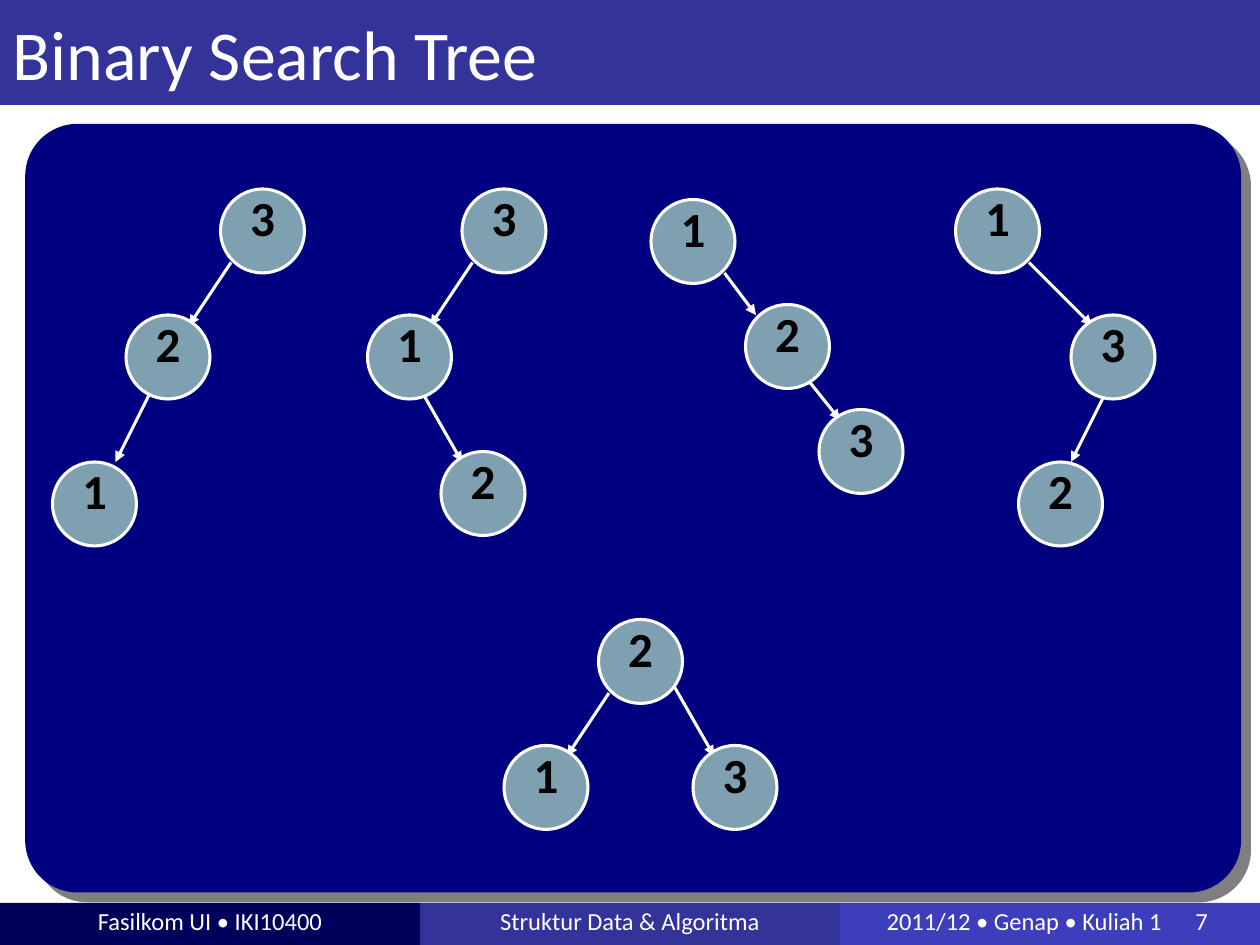
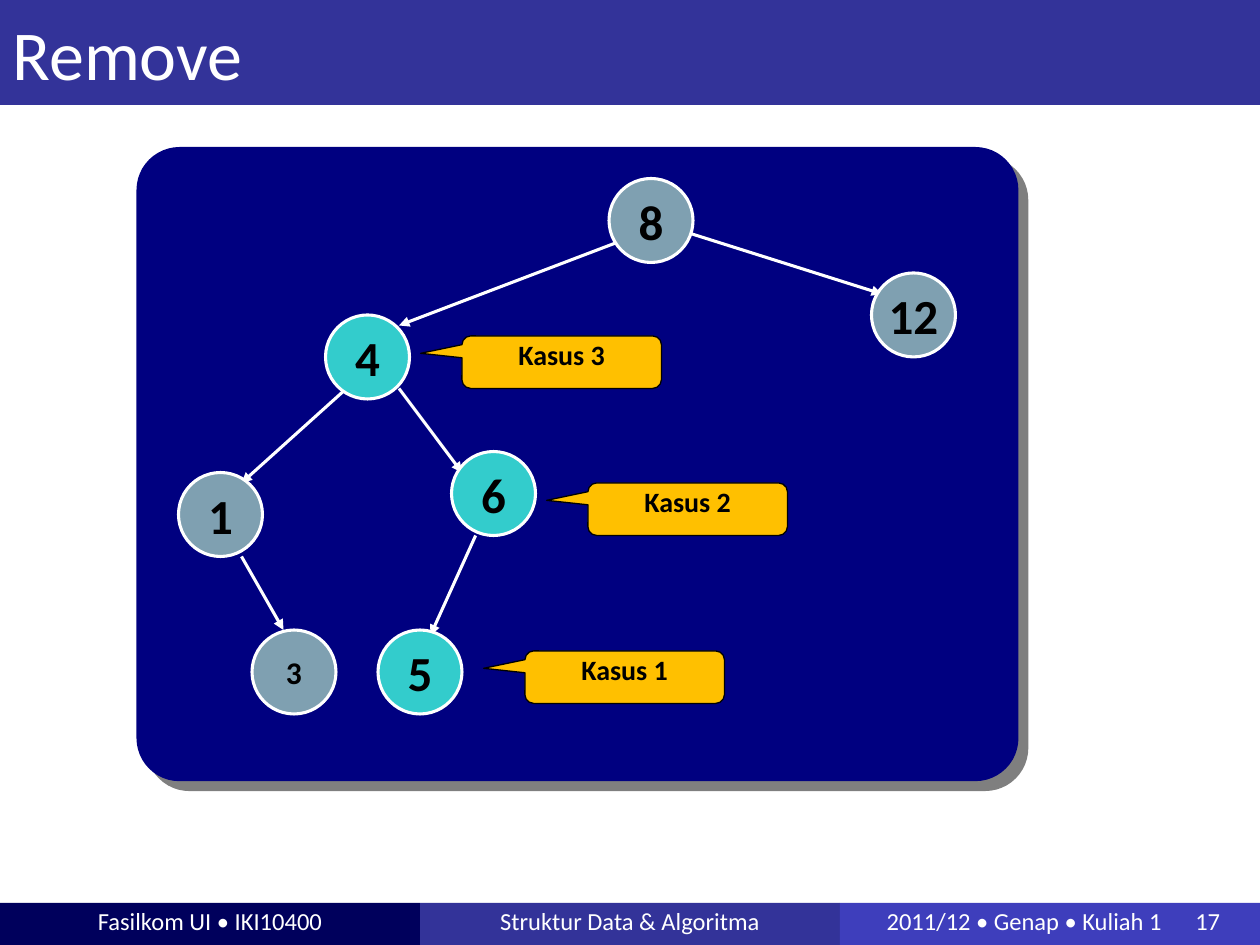
from pptx import Presentation
from pptx.dml.color import RGBColor
from pptx.enum.shapes import MSO_CONNECTOR, MSO_SHAPE
from pptx.enum.text import MSO_ANCHOR, MSO_AUTO_SIZE, PP_ALIGN
from pptx.oxml.ns import qn
from pptx.util import Inches, Pt
from lxml import etree

RECTANGLE, ROUNDED = MSO_SHAPE.RECTANGLE, MSO_SHAPE.ROUNDED_RECTANGLE
OVAL, CALLOUT = MSO_SHAPE.OVAL, MSO_SHAPE.ROUNDED_RECTANGULAR_CALLOUT
STRAIGHT = MSO_CONNECTOR.STRAIGHT
LEFT, CENTER, MIDDLE = PP_ALIGN.LEFT, PP_ALIGN.CENTER, MSO_ANCHOR.MIDDLE

FONT = "Calibri"
COLORS = {
    "white": "FFFFFF", "black": "000000", "title": "333399",
    "footer left": "00005C", "footer middle": "333399", "footer right": "3E3EBC",
    "panel": "000080", "node": "7FA0B1", "marked": "33CCCC", "callout": "FFC000",
}
# The slide is a grid of 120 columns and 90 rows, 12 to the inch.
COLUMNS, ROWS = 120, 90
TITLE_ROWS, FOOTER_ROWS, NODE_SIZE = 10, 4, 8
LINE_WIDTH, TIGHT = 1.76, 0.33

# Trees: nodes are (label, column, row), links are (from, to) grid points.
SEARCH_TREES = [
    ([("3", 21, 18), ("2", 12, 30), ("1", 5, 44)],
     [((22, 25), (18, 31)), ((15, 36), (11, 44))]),
    ([("3", 44, 18), ("1", 35, 30), ("2", 42, 43)],
     [((45, 25), (41, 31)), ((40, 37), (44, 44))]),
    ([("2", 57, 59), ("1", 48, 71), ("3", 66, 71)],
     [((58, 66), (54, 72)), ((64, 65), (68, 72))]),
    ([("1", 91, 18), ("3", 102, 30), ("2", 97, 44)],
     [((98, 25), (104, 31)), ((106, 36), (102, 44))]),
    ([("1", 62, 19), ("2", 71, 29), ("3", 78, 39)],
     [((69, 26), (72, 30)), ((76, 35), (80, 40))]),
]
REMOVE_NODES = [("8", 58, 17), ("12", 83, 26), ("1", 17, 45)]
SMALL_NODES = [("3", 24, 60)]
MARKED_NODES = [("5", 36, 60), ("6", 43, 43), ("4", 31, 30)]
REMOVE_LINKS = [
    ((59, 23), (38, 31)), ((45.3, 51), (41, 60.5)), ((65, 22), (84, 28)),
    ((33, 37), (23, 46)), ((38, 37), (44, 45)), ((23, 53), (27, 60)),
]
CASES = [("Kasus 1", 50, 62), ("Kasus 2", 56, 46), ("Kasus 3", 44, 32)]


def grid(*cells):
    return [Inches(cell / 12) for cell in cells]


def color(name):
    return RGBColor.from_string(COLORS[name])


def add_box(page, kind, cells, fill, line=None, width=LINE_WIDTH):
    box = page.shapes.add_shape(kind, *grid(*cells))
    box.shadow.inherit = False
    box.fill.solid()
    box.fill.fore_color.rgb = color(fill)
    if line:
        box.line.color.rgb = color(line)
        box.line.width = Pt(width)
    else:
        box.line.fill.background()
    return box


def write(box, text, size, ink, bold=False, align=CENTER, spacing=None):
    frame = box.text_frame
    frame.text = text
    frame.vertical_anchor = MIDDLE
    para = frame.paragraphs[0]
    para.alignment = align
    if spacing:
        para.line_spacing = spacing
    for span in para.runs:
        span.font.name, span.font.size = FONT, Pt(size)
        span.font.bold = bold
        span.font.color.rgb = color(ink)


def add_title(page, text):
    title = page.shapes.title
    title.left, title.top, title.width, title.height = grid(0, 0, COLUMNS, TITLE_ROWS)
    title.fill.solid()
    title.fill.fore_color.rgb = color("title")
    title.text_frame.auto_size = MSO_AUTO_SIZE.NONE
    write(title, text, 40, "white", align=LEFT)


def add_footer(page, number):
    width = COLUMNS / 3
    texts = {
        "footer left": "Fasilkom UI • IKI10400",
        "footer middle": "Struktur Data & Algoritma",
        "footer right": f"2011/12 • Genap • Kuliah 1\t{number}",
    }
    for index, (name, text) in enumerate(texts.items()):
        cells = (index * width, ROWS - FOOTER_ROWS, width, FOOTER_ROWS)
        band = add_box(page, RECTANGLE, cells, name)
        write(band, text, 14, "white")
        band.text_frame.margin_top = 0
    # The page number stands at a tab stop in the last band.
    band.text_frame.margin_left = Inches(0.37)
    para = band.text_frame.paragraphs[0]
    para.alignment = LEFT
    stops = etree.SubElement(para._p.get_or_add_pPr(), qn("a:tabLst"))
    etree.SubElement(stops, qn("a:tab"), pos=str(Inches(2.45)), algn="l")


def add_panel(page, *cells):
    panel = add_box(page, ROUNDED, cells, "panel")
    panel.adjustments[0] = 0.068
    effects = panel._element.spPr.find(qn("a:effectLst"))
    shadow = etree.SubElement(effects, qn("a:outerShdw"), dist=str(Pt(8)),
                              dir="2700000", algn="ctr", rotWithShape="0")
    shade = etree.SubElement(shadow, qn("a:srgbClr"), val=COLORS["black"])
    etree.SubElement(shade, qn("a:alpha"), val="50000")


def add_links(page, links):
    for start, end in links:
        link = page.shapes.add_connector(STRAIGHT, *grid(*start, *end))
        link.line.color.rgb = color("white")
        link.line.width = Pt(LINE_WIDTH)
        properties = link._element.spPr
        etree.SubElement(properties.get_or_add_ln(), qn("a:tailEnd"), type="triangle")
        etree.SubElement(properties, qn("a:effectLst"))


def add_nodes(page, nodes, fill="node", size=28, spacing=None):
    for label, column, row in nodes:
        node = add_box(page, OVAL, (column, row, NODE_SIZE, NODE_SIZE), fill, "white")
        write(node, label, size, "black", bold=True, spacing=spacing)
        node.text_frame.word_wrap = False


def add_case(page, text, column, row):
    case = add_box(page, CALLOUT, (column, row, 19, 5), "callout", "black", 0.75)
    for index, value in enumerate((-0.707, -0.169, 0.167)):
        case.adjustments[index] = value
    write(case, text, 16, "black", bold=True, spacing=TIGHT)


def add_page(deck, title, number):
    page = deck.slides.add_slide(deck.slide_layouts.get_by_name("Title Only"))
    add_footer(page, number)
    add_title(page, title)
    return page


def main():
    deck = Presentation()
    deck.slide_width, deck.slide_height = grid(COLUMNS, ROWS)

    # Five search trees
    page = add_page(deck, "Binary Search Tree", 7)
    add_panel(page, 2.4, 11.8, 115.8, 73.2)
    for nodes, links in SEARCH_TREES:
        add_links(page, links)
        add_nodes(page, nodes, spacing=TIGHT)

    # The three cases of removal
    page = add_page(deck, "Remove", 17)
    add_panel(page, 13, 14, 84, 60.4)
    add_links(page, REMOVE_LINKS)
    add_nodes(page, REMOVE_NODES)
    add_nodes(page, SMALL_NODES, size=18)
    add_nodes(page, MARKED_NODES, fill="marked")
    for case in CASES:
        add_case(page, *case)

    deck.save("out.pptx")


main()
